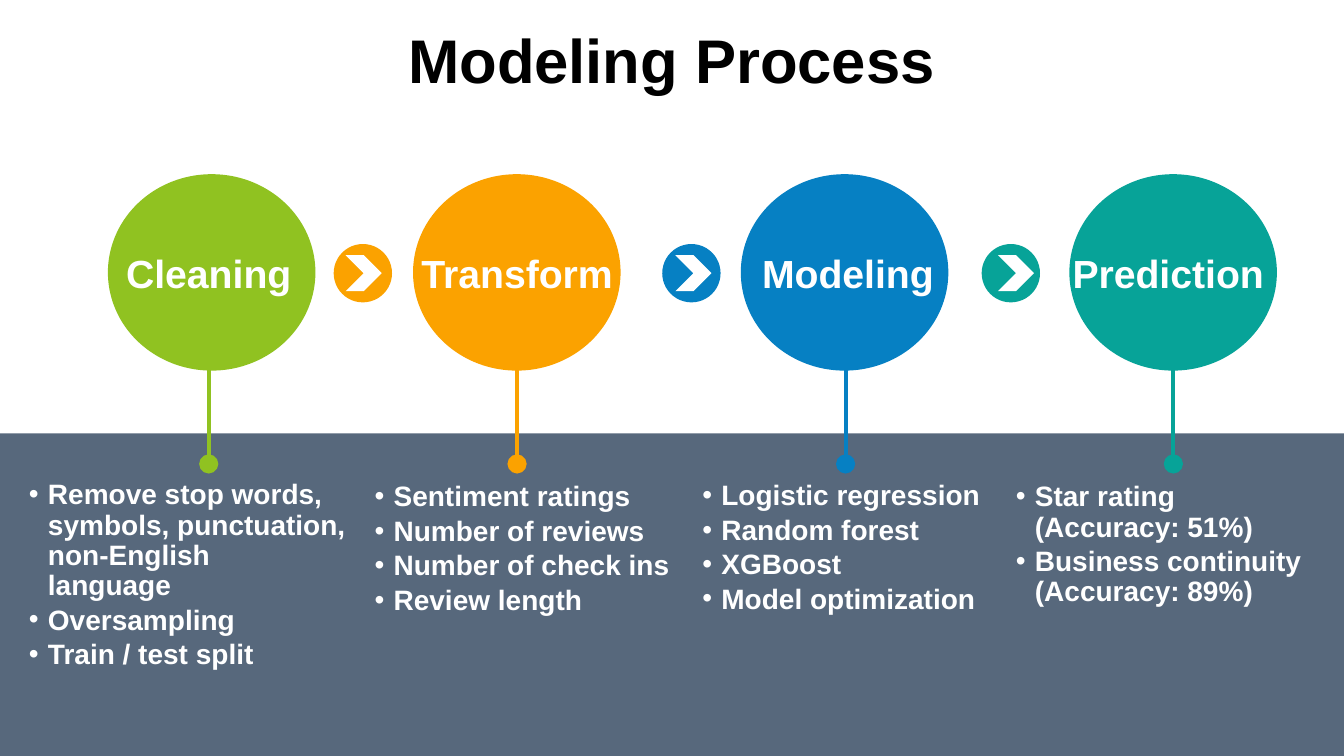
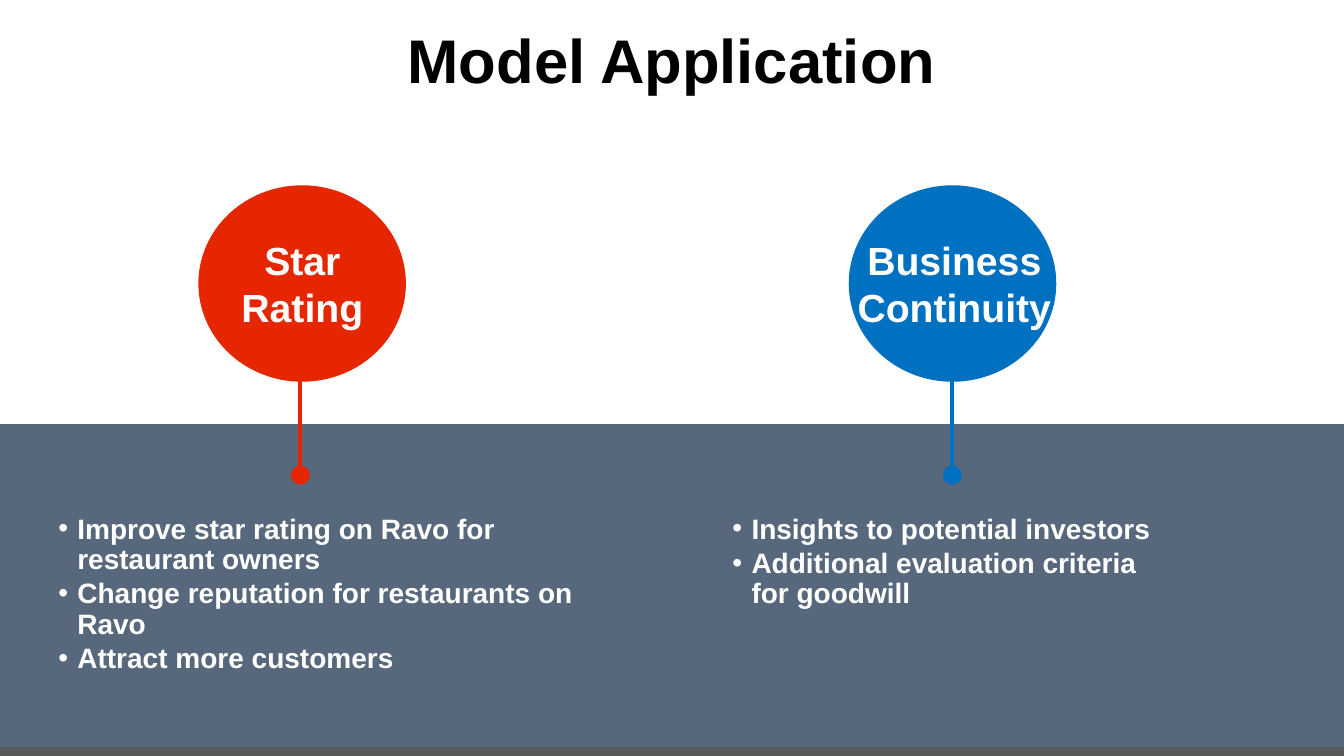
from lxml import etree
from pptx import Presentation
from pptx.dml.color import RGBColor as RGB
from pptx.enum.shapes import MSO_CONNECTOR as LINE, MSO_SHAPE as SHAPE
from pptx.enum.text import MSO_ANCHOR as ANCHOR, PP_ALIGN as ALIGN
from pptx.oxml.ns import qn
from pptx.util import Cm, Pt

HUES = {"black": "000000", "white": "FFFFFF", "slate": "57687C", "gray": "595959",
        "green": "90C221", "orange": "FBA200", "blue": "0680C3",
        "teal": "07A398", "red": "E62601", "azure": "0070C0"}
WIDE, HIGH = 33.87, 19.05
BAND = 8.13
DISC_W, DISC_H = 5.23, 4.95
LABEL = 6.4
BADGE, MARK = 1.47, 0.91
INDENT = 0.48

# Each step: colour, disc left, stem x, label centre, label lines,
# list box (left, top, width), list items
SLIDES = [
    {"title": "Modeling Process", "band": 10.92, "disc": 4.39,
     "arrows": [("orange", 8.41, 8.71), ("blue", 16.69, 17.02), ("teal", 24.74, 25.15)],
     "steps": [
         ("green", 2.72, 5.26, 5.26, ["Cleaning"], (0.48, 11.99, 8.69),
          ["Remove stop words, symbols, punctuation,\vnon-English\vlanguage",
           "Oversampling", "Train / test split"]),
         ("orange", 10.41, 13.03, 13.03, ["Transform"], (9.19, 12.04, 8.26),
          ["Sentiment ratings", "Number of reviews", "Number of check ins",
           "Review length"]),
         ("blue", 18.67, 21.31, 21.37, ["Modeling"], (17.45, 12.01, 7.9),
          ["Logistic regression", "Random forest", "XGBoost", "Model optimization"]),
         ("teal", 26.95, 29.57, 29.44, ["Prediction"], (25.35, 12.04, 7.98),
          ["Star rating (Accuracy: 51%)", "Business continuity (Accuracy: 89%)"]),
     ]},
    {"title": "Model Application", "band": 10.69, "disc": 4.67, "arrows": [],
     "steps": [
         ("red", 5, 7.57, 7.62, ["Star", "Rating"], (1.22, 12.85, 13.49),
          ["Improve star rating on Ravo for restaurant owners",
           "Change reputation for restaurants on Ravo", "Attract more customers"]),
         ("azure", 21.39, 24, 24.05, ["Business", "Continuity"], (18.21, 12.85, 11.81),
          ["Insights to potential investors",
           "Additional evaluation criteria for goodwill"]),
     ]},
]


def draw(slide, kind, hue, x, y, w, h):
    shape = slide.shapes.add_shape(kind, Cm(x), Cm(y), Cm(w), Cm(h))
    shape.shadow.inherit = False
    shape.fill.solid()
    shape.fill.fore_color.rgb = RGB.from_string(HUES[hue])
    shape.line.fill.background()


def write(slide, lines, x, y, w, h, size, hue="white", align=ALIGN.CENTER,
          anchor=ANCHOR.MIDDLE):
    frame = slide.shapes.add_textbox(Cm(x), Cm(y), Cm(w), Cm(h)).text_frame
    frame.word_wrap = True
    frame.vertical_anchor = anchor
    frame.text = "\n".join(lines)
    for para in frame.paragraphs:
        para.alignment = align
        font = para.font
        font.name, font.size, font.bold = "Arial", Pt(size), True
        font.color.rgb = RGB.from_string(HUES[hue])
    return frame.paragraphs


deck = Presentation()
deck.slide_width, deck.slide_height = Cm(WIDE), Cm(HIGH)

for page in SLIDES:
    slide = deck.slides.add_slide(deck.slide_layouts[6])

    # Title, band and the footer strip where the band leaves it open
    title = write(slide, [page["title"]], 0, 0.53, WIDE, 2.16, 44, "black")
    title[0].line_spacing = 0.9
    if page["band"] + BAND < HIGH:
        draw(slide, SHAPE.RECTANGLE, "gray", 0, 18.31, WIDE, 0.74)
    draw(slide, SHAPE.RECTANGLE, "slate", 0, page["band"], WIDE, BAND)

    # Arrow badges between the discs
    for hue, left, tip in page["arrows"]:
        draw(slide, SHAPE.OVAL, hue, left, 6.15, BADGE, BADGE)
        draw(slide, SHAPE.CHEVRON, "white", tip, 6.43, MARK, MARK)

    top = page["disc"]
    for hue, left, stem, mid, label, (x, y, w), items in page["steps"]:
        # Disc
        draw(slide, SHAPE.OVAL, hue, left, top, DISC_W, DISC_H)

        # Stem with a round end
        line = slide.shapes.add_connector(LINE.STRAIGHT, Cm(stem), Cm(top + 4.84),
                                          Cm(stem), Cm(top + 7.3))
        line.line.color.rgb = RGB.from_string(HUES[hue])
        line.line.width = Pt(2.75)
        props = line._element.spPr
        etree.SubElement(props.find(qn("a:ln")), qn("a:tailEnd"),
                         type="oval", w="lg", len="lg")
        etree.SubElement(props, qn("a:effectLst"))

        # Label, wider than the disc so that long words stay whole
        write(slide, label, mid - LABEL / 2, top, LABEL, DISC_H, 28)

        # Bullet list
        for para in write(slide, items, x, y, w, 4.4, 20, align=ALIGN.LEFT,
                          anchor=ANCHOR.TOP):
            para.line_spacing = 0.9
            para.space_after = Pt(3)
            props = para._p.get_or_add_pPr()
            props.set("marL", str(Cm(INDENT)))
            props.set("indent", str(-Cm(INDENT)))
            last = props.find(qn("a:defRPr"))
            last.addprevious(etree.Element(qn("a:buFont"), typeface="Arial"))
            last.addprevious(etree.Element(qn("a:buChar"), char="•"))

deck.save("out.pptx")
